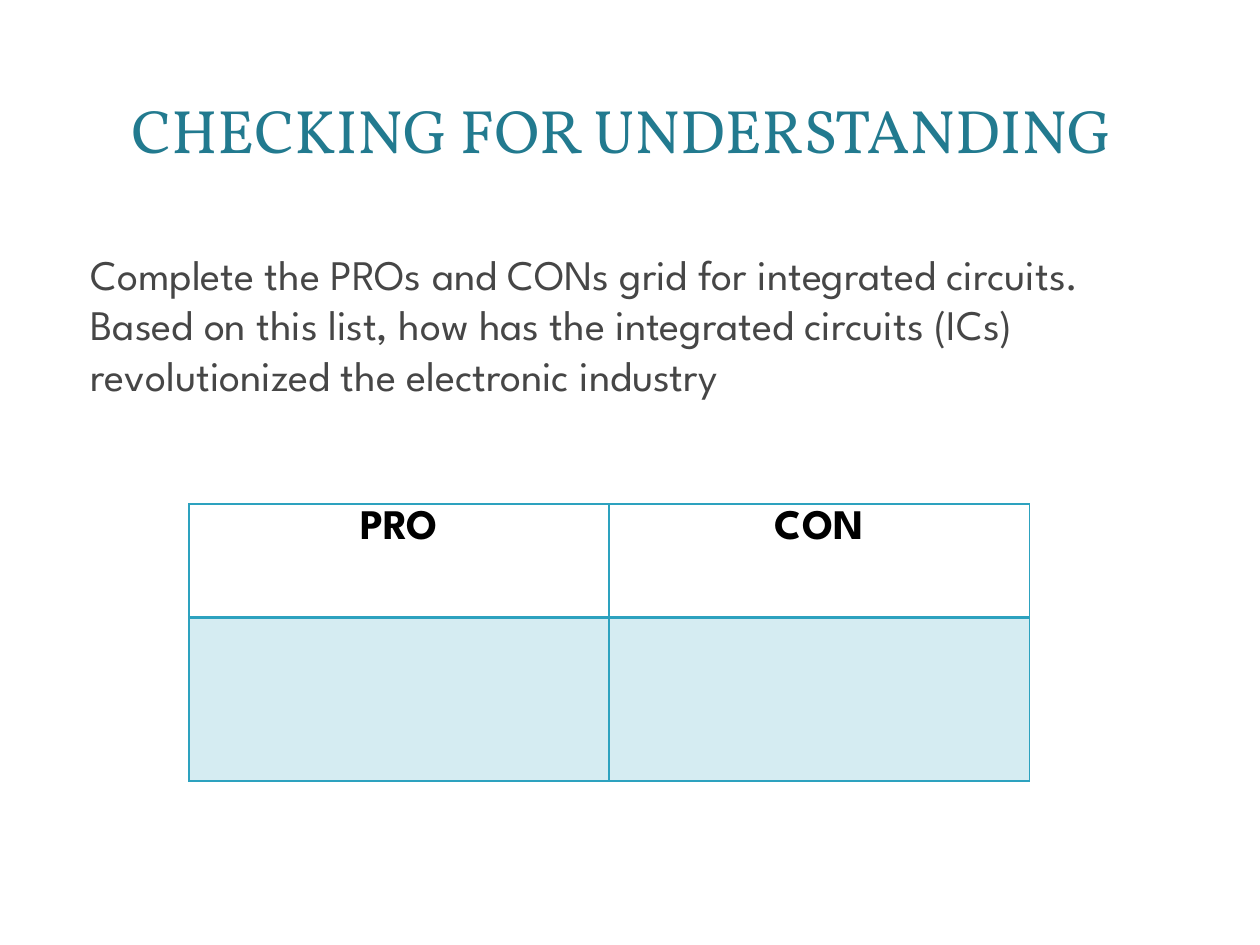
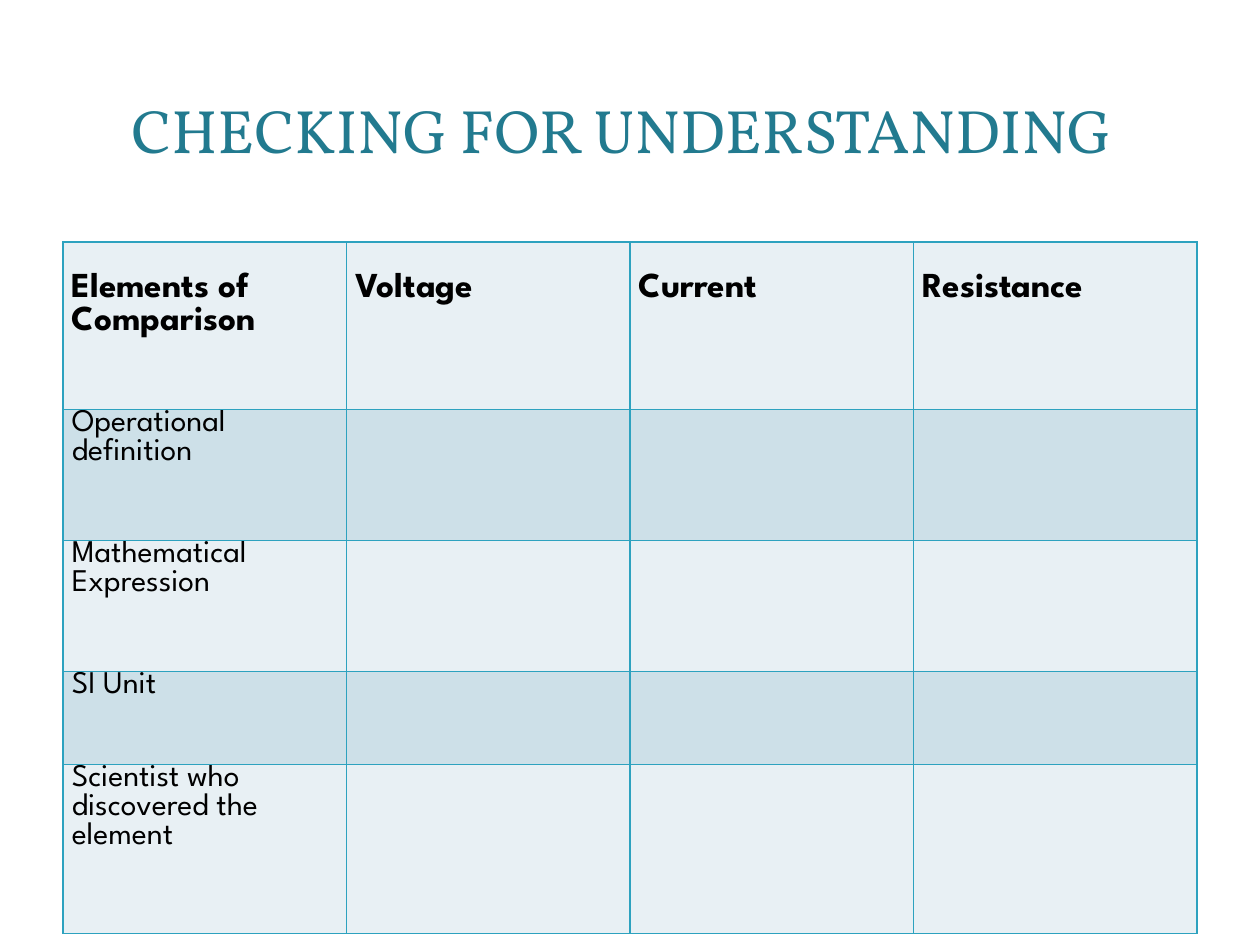
from lxml.etree import SubElement
from pptx import Presentation
from pptx.dml.color import RGBColor
from pptx.enum.shapes import MSO_SHAPE
from pptx.enum.text import MSO_ANCHOR, MSO_AUTO_SIZE, PP_ALIGN
from pptx.oxml.ns import qn
from pptx.util import Inches, Pt

HUE = {"title": "227A8F", "body": "464646", "text": "000000", "panel": "FFFFFF",
       "line": "2DA2BF", "pale": "E8F0F4", "mid": "CDE0E8"}
HEAD, FONT = "Vollkorn", "League Spartan"


def write(para, text, size, hue, font=FONT, bold=False):
    run = para.add_run()
    run.text = text
    run.font.name, run.font.size, run.font.bold = font, Pt(size), bold
    run.font.color.rgb = RGBColor.from_string(HUE[hue])


def add_grid(slide, left, top, cols, rows, low=1):
    """Add a plain bordered table; low is the line width under its first row."""
    grid = slide.shapes.add_table(len(rows), len(cols), Inches(left), Inches(top),
                                  Inches(sum(cols)), Inches(sum(rows))).table
    grid.first_row = grid.horz_banding = False
    for col, width in zip(grid.columns, cols):
        col.width = Inches(width)
    for num, (row, height) in enumerate(zip(grid.rows, rows)):
        row.height = Inches(height)
        for cell in row.cells:
            props = cell._tc.get_or_add_tcPr()
            for side in "LRTB":
                thick = (side == "B" and num == 0) or (side == "T" and num == 1)
                line = SubElement(props, qn(f"a:ln{side}"), w=str(Pt(low if thick else 1)))
                fill = SubElement(line, qn("a:solidFill"))
                SubElement(fill, qn("a:srgbClr"), val=HUE["line"])
    return grid


deck = Presentation()
deck.slide_width, deck.slide_height = Inches(10), Inches(7.5)

# Both slides: the same title on "Title and Content" and "Title Only"
for kind in (1, 5):
    slide = deck.slides.add_slide(deck.slide_layouts[kind])
    title = slide.shapes.title
    title.left, title.top = Inches(0.47), Inches(0.45)
    title.width, title.height = Inches(9.03), Inches(1.14)
    frame = title.text_frame
    frame.vertical_anchor = MSO_ANCHOR.MIDDLE
    frame.auto_size = MSO_AUTO_SIZE.NONE
    para = frame.paragraphs[0]
    para.alignment = PP_ALIGN.CENTER
    write(para, "CHECKING FOR UNDERSTANDING ", 35, "title", HEAD)
first, second = deck.slides

# Master: page panel and title bands, moved there since only slides can add shapes
tree = deck.slide_master.shapes._spTree
panels = [(MSO_SHAPE.ROUNDED_RECTANGLE, 0.1, 0.11, 9.8, 7.29, 100),
          (MSO_SHAPE.RECTANGLE, 0.3, 0.3, 9.4, 1.45, 83),
          (MSO_SHAPE.RECTANGLE, 0.41, 0.41, 9.16, 1.22, 100)]
for spot, (form, left, top, width, height, solid) in enumerate(panels, 2):
    panel = first.shapes.add_shape(form, Inches(left), Inches(top),
                                   Inches(width), Inches(height))
    panel.shadow.inherit = False
    panel.line.fill.background()
    panel.fill.solid()
    panel.fill.fore_color.rgb = RGBColor.from_string(HUE["panel"])
    if form == MSO_SHAPE.ROUNDED_RECTANGLE:
        panel.adjustments[0] = 0.02
    if solid < 100:
        tint = panel._element.spPr.find(qn("a:solidFill")).find(qn("a:srgbClr"))
        SubElement(tint, qn("a:alpha"), val=str(solid * 1000))
    tree.insert(spot, panel._element)

# Slide 1: the task
body = first.placeholders[1]
body.left, body.top = Inches(0.5), Inches(1.92)
body.width, body.height = Inches(9), Inches(4.78)
body.text_frame.auto_size = MSO_AUTO_SIZE.NONE
para = body.text_frame.paragraphs[0]
para.space_before = Pt(0)
props = para._p.get_or_add_pPr()
props.set("marL", str(Inches(0.12)))
props.set("indent", "0")
SubElement(props, qn("a:buNone"))
write(para, "Complete the PROs and CONs grid for integrated circuits. Based on this "
      "list, how has the integrated circuits (ICs) revolutionized the electronic "
      "industry", 24, "body")

# Slide 1: pro and con grid, with a tinted row to fill in
grid = add_grid(first, 1.5, 4, [6.67 / 2] * 2, [0.9, 1.3], low=2)
for col, label in enumerate(("PRO", "CON")):
    cell = grid.cell(0, col)
    cell.fill.background()
    para = cell.text_frame.paragraphs[0]
    para.alignment = PP_ALIGN.CENTER
    write(para, label, 24, "text", bold=True)
    blank = grid.cell(1, col)
    blank.fill.solid()
    blank.fill.fore_color.rgb = RGBColor.from_string(HUE["line"])
    tint = blank._tc.tcPr.find(qn("a:solidFill")).find(qn("a:srgbClr"))
    SubElement(tint, qn("a:alpha"), val="20000")

# Slide 2: comparison grid with banded rows
heads = ["Elements of Comparison", "Voltage", "Current", "Resistance"]
items = ["Operational definition", "Mathematical Expression", "SI Unit",
         "Scientist who discovered the element"]
grid = add_grid(second, 0.5, 1.92, [2.25] * 4, [1.33, 1.04, 1.04, 0.74, 1.34])
for num, row in enumerate(grid.rows):
    for cell in row.cells:
        cell.fill.solid()
        cell.fill.fore_color.rgb = RGBColor.from_string(HUE["mid" if num % 2 else "pale"])
        cell.margin_left = cell.margin_right = Inches(0.07)
        cell.margin_top = Inches(0 if num else 0.25)
        cell.margin_bottom = 0
for col, label in enumerate(heads):
    write(grid.cell(0, col).text_frame.paragraphs[0], label, 20, "text", bold=True)
for num, label in enumerate(items, 1):
    para = grid.cell(num, 0).text_frame.paragraphs[0]
    para.alignment = PP_ALIGN.LEFT if num == len(items) else PP_ALIGN.JUSTIFY
    para.space_after = Pt(10)
    write(para, label, 18, "text")

deck.save("out.pptx")
